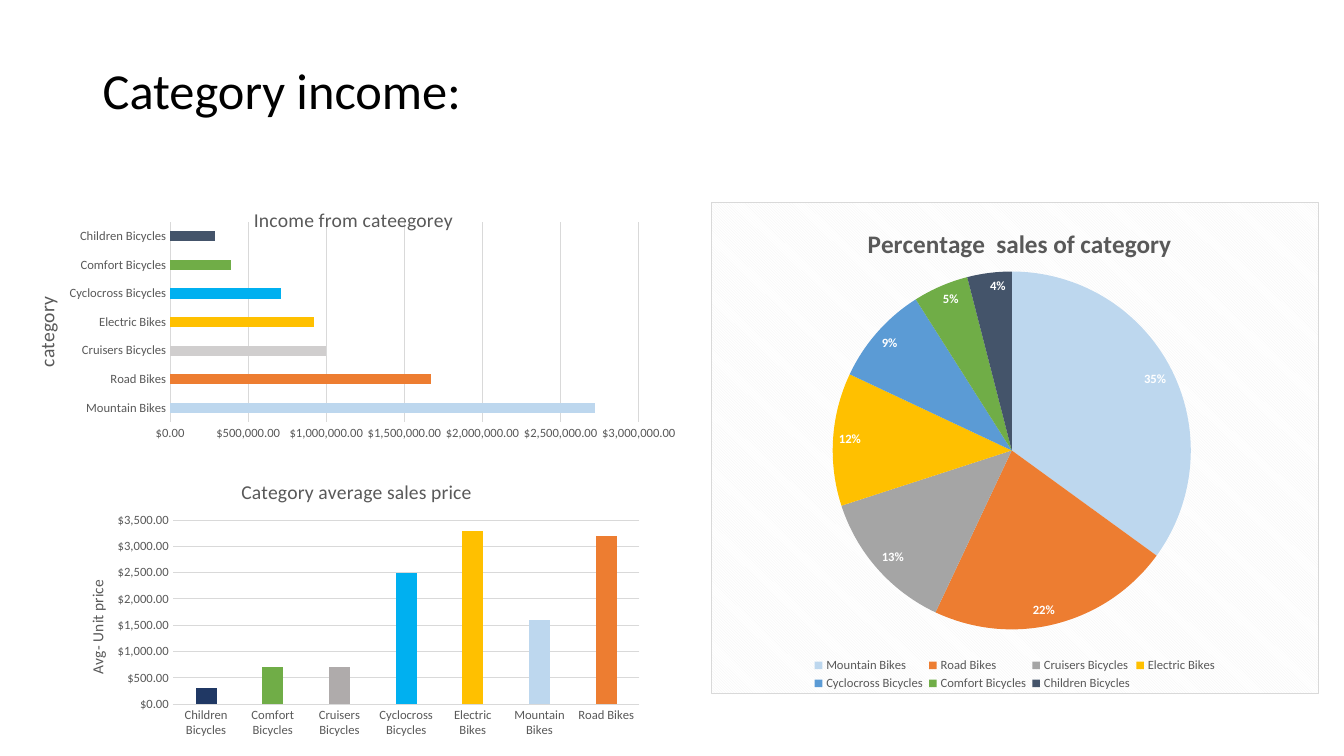
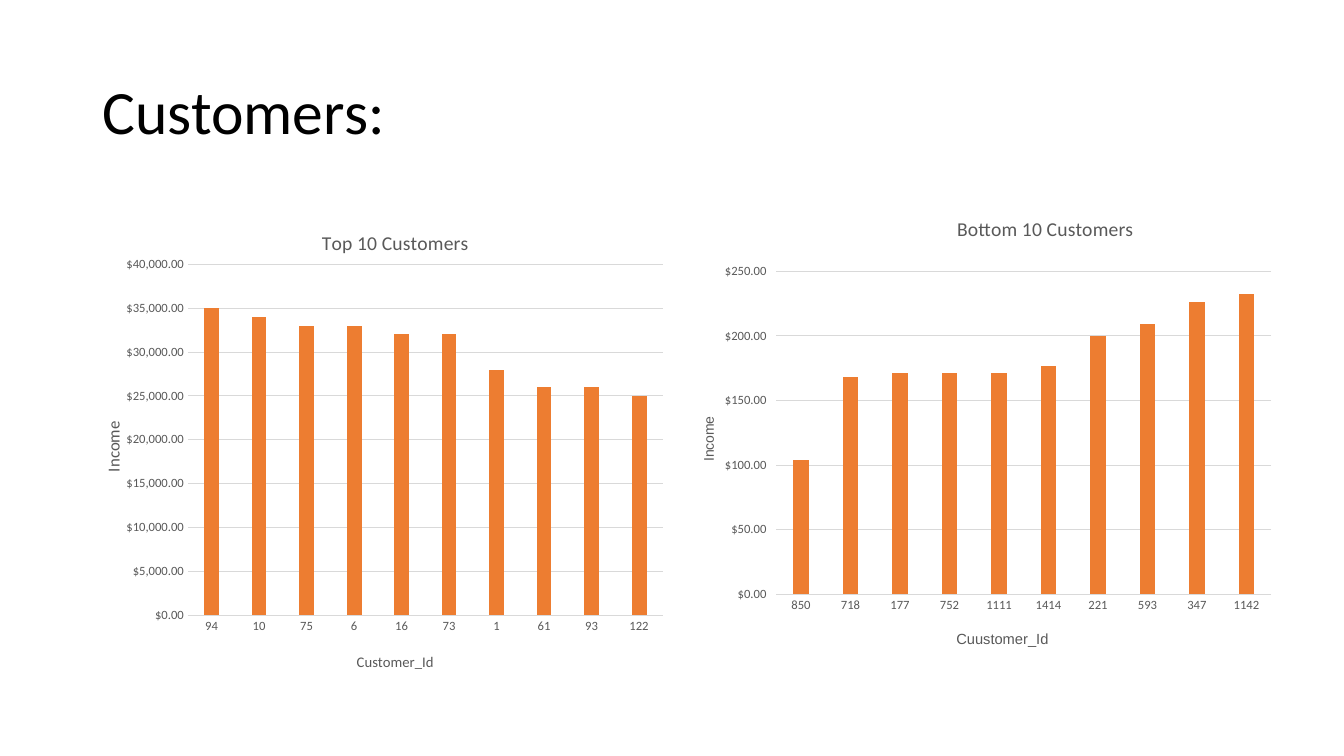
from dataclasses import dataclass

from lxml.etree import SubElement
from pptx import Presentation
from pptx.chart.data import CategoryChartData as Data
from pptx.dml.color import RGBColor as Rgb
from pptx.enum.chart import XL_CHART_TYPE as Kind
from pptx.enum.chart import XL_LABEL_POSITION as Spot
from pptx.enum.chart import XL_LEGEND_POSITION as Side
from pptx.enum.chart import XL_TICK_MARK as Tick
from pptx.enum.text import MSO_ANCHOR as Anchor
from pptx.oxml import parse_xml
from pptx.oxml.ns import nsdecls, qn
from pptx.util import Inches, Pt


@dataclass(frozen=True)
class Theme:
    font: str = "Calibri"
    alt: str = "Arial"
    black: str = "000000"
    white: str = "FFFFFF"
    gray: str = "595959"
    grid: str = "D9D9D9"
    hatch: str = "F2F2F2"
    pale: str = "BDD7EE"
    orange: str = "ED7D31"
    mid: str = "A5A5A5"
    silver: str = "D0CECE"
    taupe: str = "AFABAB"
    gold: str = "FFC000"
    blue: str = "5B9BD5"
    sky: str = "00B0F0"
    green: str = "70AD47"
    slate: str = "44546A"
    navy: str = "203864"
    small: float = 9
    base: float = 10
    head: float = 14
    big: float = 18
    money: str = "[$$-409]#,##0.00"
    hair: float = 0.75


T = Theme()
BIKES = ["Mountain Bikes", "Road Bikes", "Cruisers Bicycles", "Electric Bikes",
         "Cyclocross Bicycles", "Comfort Bicycles", "Children Bicycles"]


def style(font, size, color=T.gray, bold=False, name=T.font):
    font.name, font.size, font.bold = name, Pt(size), bold
    font.color.rgb = Rgb.from_string(color)


def stroke(line, color=T.grid):
    line.color.rgb = Rgb.from_string(color)
    line.width = Pt(T.hair)


def fill(part, color):
    part.format.fill.solid()
    part.format.fill.fore_color.rgb = Rgb.from_string(color)


def place(node, box):
    lay = node.find(qn("c:layout"))
    if lay is None:
        lead = [kid for kid in node if kid.tag in (qn("c:tx"), qn("c:legendPos"))]
        lay = parse_xml(f"<c:layout {nsdecls('c')}/>")
        node.insert(len(lead), lay)
    man = SubElement(lay, qn("c:manualLayout"))
    if node.tag == qn("c:plotArea"):
        SubElement(man, qn("c:layoutTarget")).set("val", "inner")
    for key in "xy":
        SubElement(man, qn(f"c:{key}Mode")).set("val", "edge")
    for key, val in zip("xywh", box):
        SubElement(man, qn(f"c:{key}")).set("val", str(val))


def label(title, text, spot, size, bold=False, name=T.font, turn=False):
    frame = title.text_frame
    frame.text = text
    for run in frame.paragraphs[0].runs:
        style(run.font, size, bold=bold, name=name)
    if turn:
        body = title._element.find(".//" + qn("a:bodyPr"))
        body.set("rot", "-5400000")
        body.set("vert", "horz")
    place(title._element, spot)


def back(chart, paint="<a:noFill/>", line="<a:noFill/>", width=0):
    shell = parse_xml(
        f"<c:spPr {nsdecls('c', 'a')}>{paint}"
        f'<a:ln w="{width}">{line}</a:ln></c:spPr>')
    chart._chartSpace.find(qn("c:txPr")).addprevious(shell)


def add_chart(slide, kind, box, cats, vals, text, spot, plot, size=T.head, bold=False):
    data = Data()
    data.categories = cats
    data.add_series("Series 1", vals)
    chart = slide.shapes.add_chart(kind, *map(Inches, box), data).chart
    style(chart.font, T.base, T.black)
    chart.has_legend = False
    chart.has_title = True
    label(chart.chart_title, text, spot, size, bold)
    place(chart._chartSpace.find(".//" + qn("c:plotArea")), plot)
    return chart


def tint(chart, hues):
    row = chart.plots[0].series[0]
    for num, hue in enumerate(hues):
        fill(row.points[num], hue)


def add_bars(slide, kind, box, cats, vals, text, spot, plot, top, step,
             gap=219, lap=-27, hues=(), tick=Tick.NONE):
    chart = add_chart(slide, kind, box, cats, vals, text, spot, plot)
    back(chart)
    bars = chart.plots[0]
    bars.vary_by_categories = False
    bars.gap_width, bars.overlap = gap, lap
    fill(bars.series[0], T.orange)
    tint(chart, hues)
    for axis in (chart.category_axis, chart.value_axis):
        axis.major_tick_mark = axis.minor_tick_mark = Tick.NONE
        style(axis.tick_labels.font, T.small)
    stroke(chart.category_axis.format.line)
    axis = chart.value_axis
    axis.major_tick_mark = tick
    axis.minimum_scale, axis.maximum_scale, axis.major_unit = 0, top, step
    axis.format.line.fill.background()
    axis.has_major_gridlines = True
    stroke(axis.major_gridlines.format.line)
    axis.tick_labels.number_format = T.money
    axis.tick_labels.number_format_is_linked = False
    return chart


def add_pie(slide, box, cats, vals, text, spot, plot, key, hues):
    chart = add_chart(slide, Kind.PIE, box, cats, vals, text, spot, plot, T.big, True)
    color = '<a:srgbClr val="{}"/>'.format
    back(chart,
         f'<a:pattFill prst="dkDnDiag"><a:fgClr>{color(T.hatch)}</a:fgClr>'
         f"<a:bgClr>{color(T.white)}</a:bgClr></a:pattFill>",
         f"<a:solidFill>{color(T.grid)}</a:solidFill>", Pt(T.hair))
    tint(chart, hues)
    pie = chart.plots[0]
    pie.has_data_labels = True
    tags = pie.data_labels
    tags.show_percentage, tags.show_value = True, False
    tags.number_format, tags.number_format_is_linked = "0%", False
    tags.position = Spot.INSIDE_END
    style(tags.font, T.small, T.white, True)
    chart.has_legend = True
    chart.legend.position = Side.BOTTOM
    chart.legend.include_in_layout = False
    style(chart.legend.font, T.small)
    place(chart.legend._element, key)


def add_title(slide, text, top, high, size):
    box = slide.shapes.add_textbox(*map(Inches, (0.92, top, 11.5, high)))
    frame = box.text_frame
    frame.word_wrap = True
    frame.vertical_anchor = Anchor.MIDDLE
    frame.text = text
    para = frame.paragraphs[0]
    para.line_spacing = 0.9
    style(para.runs[0].font, size, T.black)


def income(slide):
    add_title(slide, "Category income:", 0.51, 0.82, 36)
    add_pie(slide, (7.05, 2, 6.03, 4.89), BIKES, (35, 22, 13, 12, 9, 5, 4),
            "Percentage  sales of category", (0.25, 0.04),
            (0.2, 0.14, 0.59, 0.73), (0.16, 0.92, 0.68, 0.08),
            (T.pale, T.orange, T.mid, T.gold, T.blue, T.green, T.slate))
    chart = add_bars(
        slide, Kind.BAR_CLUSTERED, (0.16, 1.85, 6.64, 2.72), BIKES,
        (2720000, 1670000, 1000000, 920000, 710000, 390000, 290000),
        "Income from cateegorey", (0.35, 0.06), (0.23, 0.13, 0.7, 0.73),
        3000000, 500000, gap=182, lap=0,
        hues=(T.pale, T.orange, T.silver, T.gold, T.sky, T.green, T.slate))
    label(chart.category_axis.axis_title, "category", (0.02, 0.39), T.head, turn=True)
    chart = add_bars(
        slide, Kind.COLUMN_CLUSTERED, (0.6, 4.57, 5.86, 2.81), sorted(BIKES),
        (300, 700, 700, 2500, 3300, 1600, 3200),
        "Category average sales price", (0.3, 0.05), (0.19, 0.21, 0.79, 0.65),
        3500, 500,
        hues=(T.navy, T.green, T.taupe, T.sky, T.gold, T.pale, T.orange))
    label(chart.value_axis.axis_title, "Avg- Unit price", (0.04, 0.41), 11, turn=True)


def buyers(slide):
    add_title(slide, "Customers:", 0.41, 1.45, 44)
    chart = add_bars(
        slide, Kind.COLUMN_CLUSTERED, (6.67, 2.05, 6.06, 4.58),
        "850 718 177 752 1111 1414 221 593 347 1142".split(),
        (104, 168, 171, 171, 171, 177, 200, 209, 226, 232),
        "Bottom 10 Customers", (0.46, 0.01), (0.17, 0.14, 0.81, 0.7),
        250, 50, tick=Tick.OUTSIDE)
    label(chart.category_axis.axis_title, "Cuustomer_Id", (0.46, 0.91), 10.5, name=T.alt)
    label(chart.value_axis.axis_title, "Income", (0.04, 0.45), T.base, name=T.alt, turn=True)
    chart = add_bars(
        slide, Kind.COLUMN_CLUSTERED, (0.92, 2.05, 5.89, 4.77),
        "94 10 75 6 16 73 1 61 93 122".split(),
        (35000, 34000, 33000, 33000, 32000, 32000, 28000, 26000, 26000, 25000),
        "Top 10 Customers", (0.38, 0.04), (0.16, 0.12, 0.8, 0.73), 40000, 5000)
    label(chart.category_axis.axis_title, "Customer_Id", (0.44, 0.92), 10.5)
    label(chart.value_axis.axis_title, "Income", (0.01, 0.44), 12, turn=True)


def main():
    deck = Presentation()
    deck.slide_width, deck.slide_height = Inches(13.33), Inches(7.5)
    for draw in (income, buyers):
        draw(deck.slides.add_slide(deck.slide_layouts[6]))
    deck.save("out.pptx")


if __name__ == "__main__":
    main()
